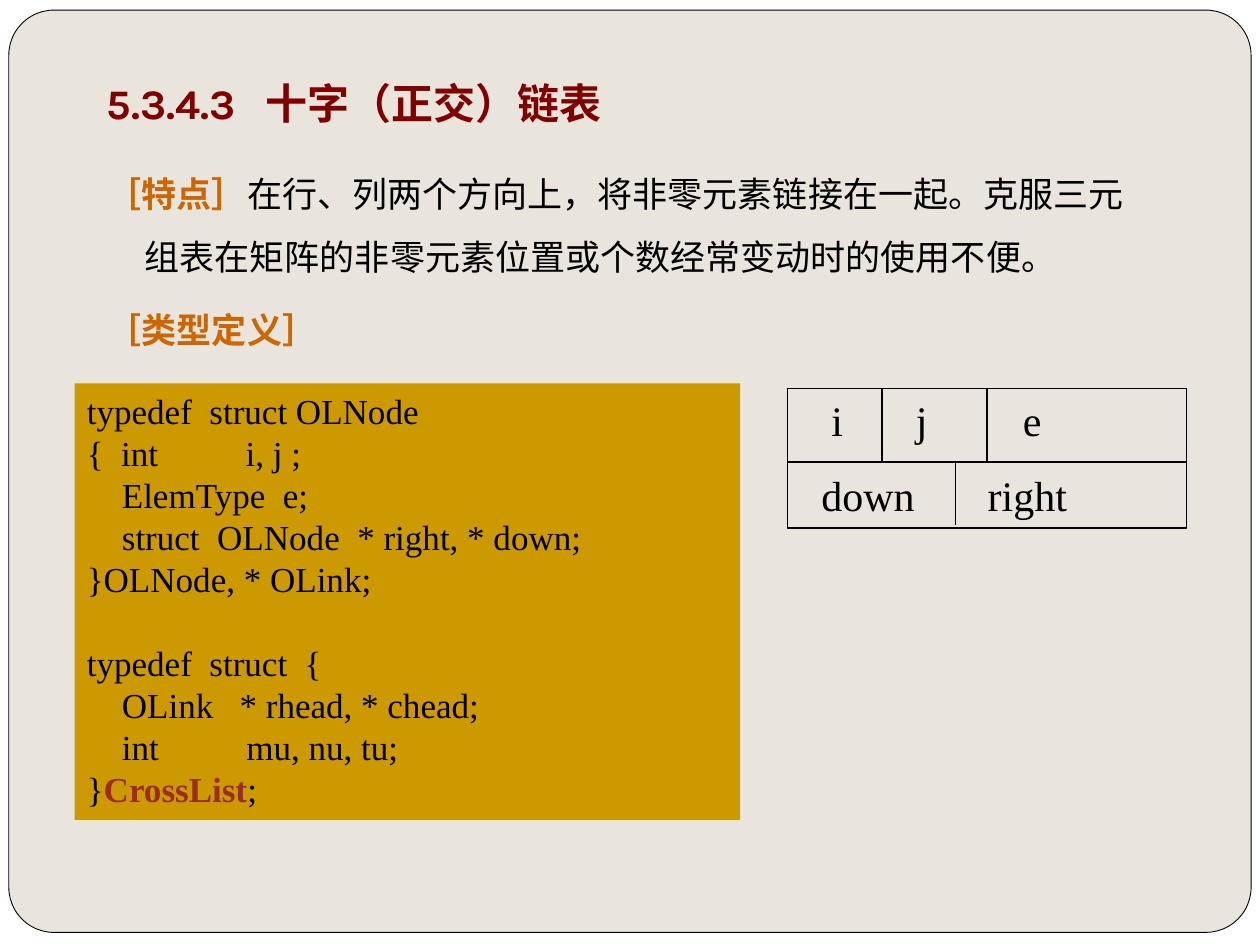
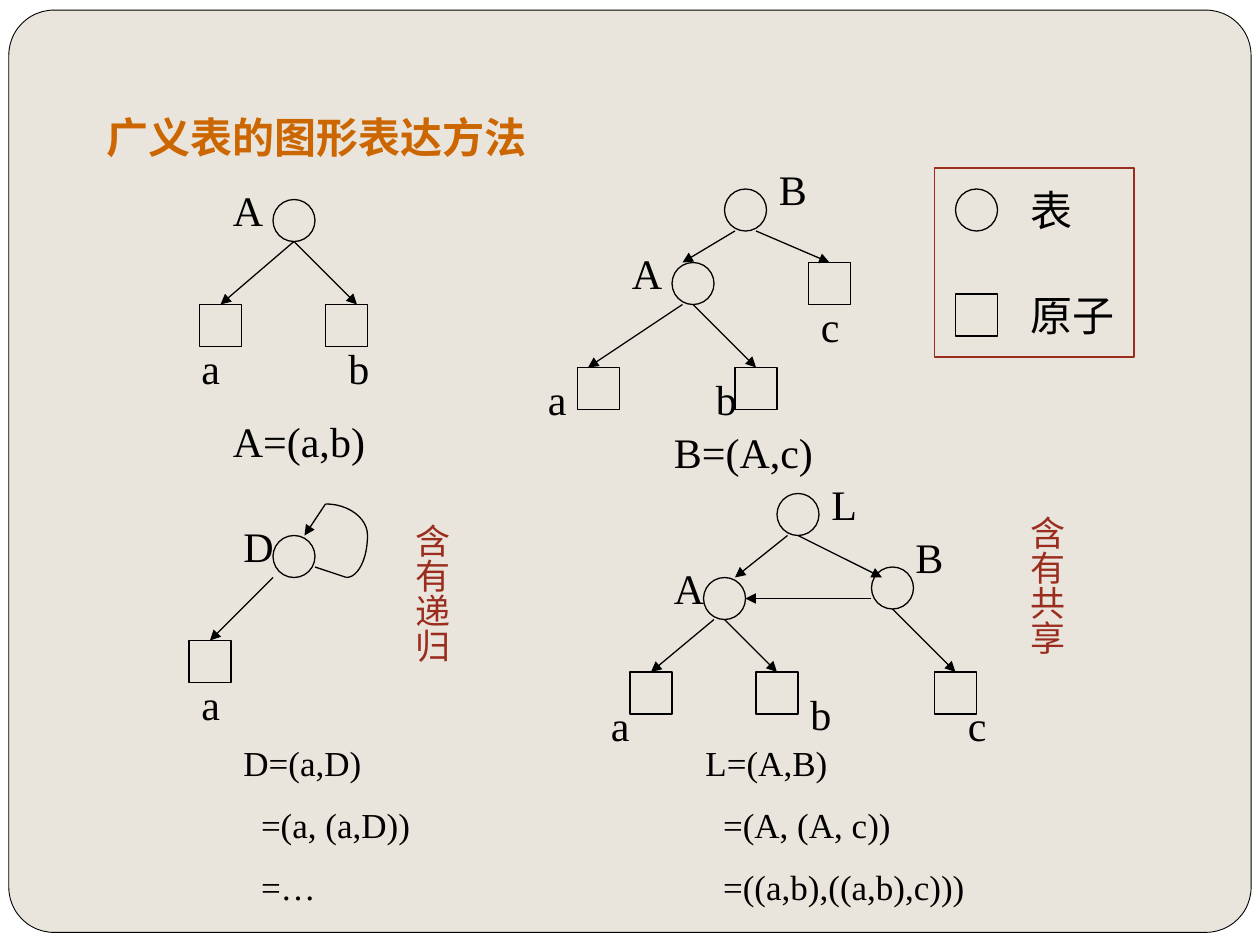
from math import cos, pi, sin
from lxml.etree import SubElement
from pptx import Presentation
from pptx.dml.color import RGBColor
from pptx.enum.shapes import MSO_CONNECTOR, MSO_SHAPE
from pptx.enum.text import MSO_ANCHOR
from pptx.oxml.ns import qn
from pptx.util import Inches, Pt

# Grid: 120 columns by 90 rows, twelve to the inch
UNIT = Inches(1) // 12
WIDE, HIGH = 120, 90
NODE = 4
BLACK, SAND, WHITE = "000000", "E9E5DC", "FFFFFF"
WINE, AMBER, RUST, GOLD = "800000", "CC6600", "9B2D1F", "CC9900"
SERIF, HEAD = "Times New Roman", "Karla"
RECT, OVAL = MSO_SHAPE.RECTANGLE, MSO_SHAPE.OVAL
hue = RGBColor.from_string


def block(page, kind, box, fill=None, line=None, width=0.75):
    """Add a preset shape, its box given in grid units."""
    shape = page.shapes.add_shape(kind, *[round(n * UNIT) for n in box])
    shape.shadow.inherit = False
    if fill:
        shape.fill.solid()
        shape.fill.fore_color.rgb = hue(fill)
    else:
        shape.fill.background()
    if line:
        shape.line.color.rgb = hue(line)
        shape.line.width = Pt(width)
    else:
        shape.line.fill.background()
    return shape


def write(shape, paras, size=24, color=BLACK, face=SERIF, bold=False,
          gap=0, tabs=(), anchor=MSO_ANCHOR.TOP, **form):
    """Fill a shape; a paragraph is a string or a list of (text, color, bold)."""
    frame = shape.text_frame
    frame.word_wrap = True
    frame.vertical_anchor = anchor
    for num, runs in enumerate(paras):
        para = frame.paragraphs[0] if num == 0 else frame.add_paragraph()
        props = para._p.get_or_add_pPr()
        props.set("algn", "l")
        if tabs:
            stops = SubElement(props, qn("a:tabLst"))
            for stop in tabs[num]:
                SubElement(stops, qn("a:tab"), pos=str(Inches(stop)), algn="l")
        for key, value in form.items():
            setattr(para, key, value)
        if num and gap:
            para.space_before = Pt(gap)
        para.font.size = Pt(size)
        for text, tint, heavy in [(runs, color, bold)] if isinstance(runs, str) else runs:
            run = para.add_run()
            run.text = text
            run.font.color.rgb = hue(tint)
            for key, value in {"name": face, "size": Pt(size), "bold": heavy}.items():
                setattr(run.font, key, value)
    return para


deck = Presentation()
deck.slide_width, deck.slide_height = WIDE * UNIT, HIGH * UNIT

# Shared frame and title
pages = []
for title, color, top, high, tabs in [
    ("5.3.4.3\t十字（正交）链表", WINE, 5.3, 9, [[1.26]]),
    ("广义表的图形表达方法", AMBER, 8, 10, ()),
]:
    page = deck.slides.add_slide(deck.slide_layouts[6])
    block(page, RECT, (0, 0, WIDE, HIGH), WHITE)
    card = block(page, MSO_SHAPE.ROUNDED_RECTANGLE,
                 (0.84, 0.96, 118.32, 87.84), SAND, BLACK, 0.5)
    card.adjustments[0] = 0.049
    spot = page.shapes.add_textbox(9 * UNIT, round(top * UNIT), 102 * UNIT, high * UNIT)
    write(spot, [title], 24, color, HEAD, True, tabs=tabs, anchor=MSO_ANCHOR.MIDDLE)
    pages.append(page)
cross, graph = pages

# Slide 1: features
body = cross.shapes.add_textbox(9 * UNIT, round(13.8 * UNIT), 102 * UNIT, 22 * UNIT)
write(body, [
    [("［特点］", AMBER, True),
     ("在行、列两个方向上，将非零元素链接在一起。克服三元组表在矩阵的非零元素"
      "位置或个数经常变动时的使用不便。", BLACK, False)],
    [("［类型定义］", AMBER, True)],
], 20, gap=5.8, line_spacing=1.5)
for para in body.text_frame.paragraphs:
    props = para._p.get_or_add_pPr()
    props.set("marL", str(Inches(0.3)))
    props.set("indent", str(-Inches(0.3)))

# Slide 1: code
code = block(cross, RECT, (7.1, 36.5, 63.4, 41.6), GOLD)
write(code, [
    "typedef  struct OLNode",
    "{  int          i, j ;",
    "    ElemType  e;",
    "    struct  OLNode  * right, * down;",
    "}OLNode, * OLink;",
    [],
    "typedef  struct  {",
    "    OLink   * rhead, * chead;",
    "    int          mu, nu, tu;",
    [("}", BLACK, False), ("CrossList", RUST, True), (";", BLACK, False)],
], 20)

# Slide 1: node layout
cell = block(cross, RECT, (75, 37, 38, 13.3), line=BLACK)
write(cell, ["\ti\tj\te", "\tdown\tright"], gap=14,
      tabs=[[0.25, 0.92, 1.77], [0.17, 1.49]])

# Slide 2: legend frame, circles for lists, squares for atoms
block(graph, RECT, (89, 16, 19, 18), line=RUST)
for x, y in [(26, 19), (69, 18), (64, 25), (26, 51), (74, 47), (67, 55), (83, 54), (91, 18)]:
    block(graph, OVAL, (x, y, NODE, NODE), line=BLACK)
tops = {}
for x, y in [(19, 29), (31, 29), (77, 25), (55, 35), (70, 35), (18, 61),
             (60, 64), (72, 64), (89, 64), (91, 28)]:
    tops[x + NODE / 2, y] = block(graph, RECT, (x, y, NODE, NODE), line=BLACK)

# Slide 2: loop from D back to itself
turns = [n * pi / 24 for n in range(13)]
curve = [(31 + 4 * sin(t), 51 - 3 * cos(t)) for t in turns]
curve += [(33 + 2 * cos(t), 51 + 4 * sin(t)) for t in turns[1:]]
dots = [(round(x * UNIT), round(y * UNIT)) for x, y in curve]
pen = graph.shapes.build_freeform(*dots[0])
pen.add_line_segments(dots[1:], close=False)
loop = pen.convert_to_shape()
loop.shadow.inherit = False
loop.fill.background()
loop.line.color.rgb = hue(BLACK)
loop.line.width = Pt(0.75)

# Rules of the node layout and arrows of the graphs
rules = [(75, 44, 113, 44), (84, 37, 84, 44), (94, 37, 94, 44), (91, 44, 91, 50)]
arrows = [
    (28, 23, 21, 29), (28, 23, 34, 29),
    (70, 22, 65, 25), (72, 22, 79, 25), (65, 29, 56, 35), (66, 29, 72, 35),
    (26, 55, 20, 61), (31, 48, 29, 51),
    (75, 51, 70, 55), (76, 51, 84, 55), (68, 59, 62, 64), (69, 59, 74, 64),
    (85, 58, 91, 64), (83, 57, 71, 57),
]
for page, ends, tip in ([(cross, r, False) for r in rules]
                        + [(graph, (30, 54, 33, 55), False)]
                        + [(graph, a, True) for a in arrows]):
    link = page.shapes.add_connector(MSO_CONNECTOR.STRAIGHT, *[n * UNIT for n in ends])
    link.line.color.rgb = hue(BLACK)
    link.line.width = Pt(0.75)
    SubElement(link._element.spPr, qn("a:effectLst"))
    if tip:
        SubElement(link.line._get_or_add_ln(), qn("a:tailEnd"), type="triangle")
        if ends[2:] in tops:
            link.end_connect(tops[ends[2:]], 0)

# Slide 2: labels
for text, x, y, wide in [
    ("A", 21, 17, 9), ("a", 18, 32, 7), ("b", 32, 32, 10), ("A=(a,b)", 21, 39, 28),
    ("B", 73, 15, 9), ("A", 59, 23, 6), ("c", 77, 28, 8), ("a", 51, 35, 5),
    ("b", 67, 35, 6), ("B=(A,c)", 63, 40, 23),
    ("D", 22, 49, 6), ("a", 18, 64, 4),
    ("L", 78, 45, 6), ("A", 63, 53, 8), ("B", 86, 50, 5), ("a", 57, 66, 5),
    ("b", 76, 65, 6), ("c", 91, 66, 5),
    ("表", 97, 17, 12), ("原子", 97, 27, 13),
]:
    write(graph.shapes.add_textbox(x * UNIT, y * UNIT, wide * UNIT, 6 * UNIT), [text])

# Slide 2: expansions
for x, wide, steps in [
    (22, 25, ["D=(a,D)", "=(a, (a,D))", "=…"]),
    (66, 33, ["L=(A,B)", "=(A, (A, c))", "=((a,b),((a,b),c)))"]),
]:
    area = graph.shapes.add_textbox(x * UNIT, 70 * UNIT, wide * UNIT, 17 * UNIT)
    write(area, steps, 20, gap=11.5)
    for para in area.text_frame.paragraphs[1:]:
        para._p.get_or_add_pPr().set("marL", str(Inches(0.14)))

# Slide 2: upright notes
for text, x, y in [("含有递归", 37.3, 48.7), ("含有共享", 95.9, 47.9)]:
    note = graph.shapes.add_textbox(*[round(n * UNIT) for n in (x, y, 6.4, 19.8)])
    write(note, [text], 20, RUST)
    note.text_frame._txBody.bodyPr.set("vert", "eaVert")

deck.save("out.pptx")
